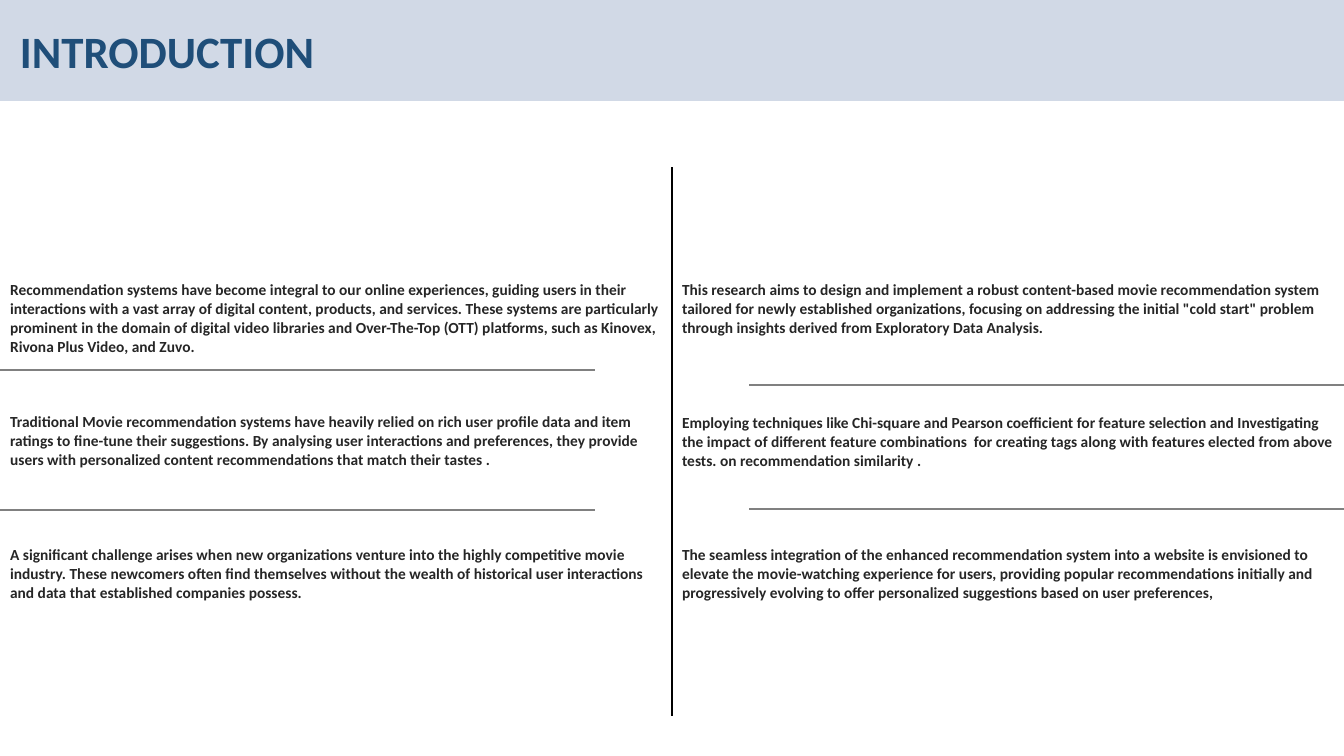
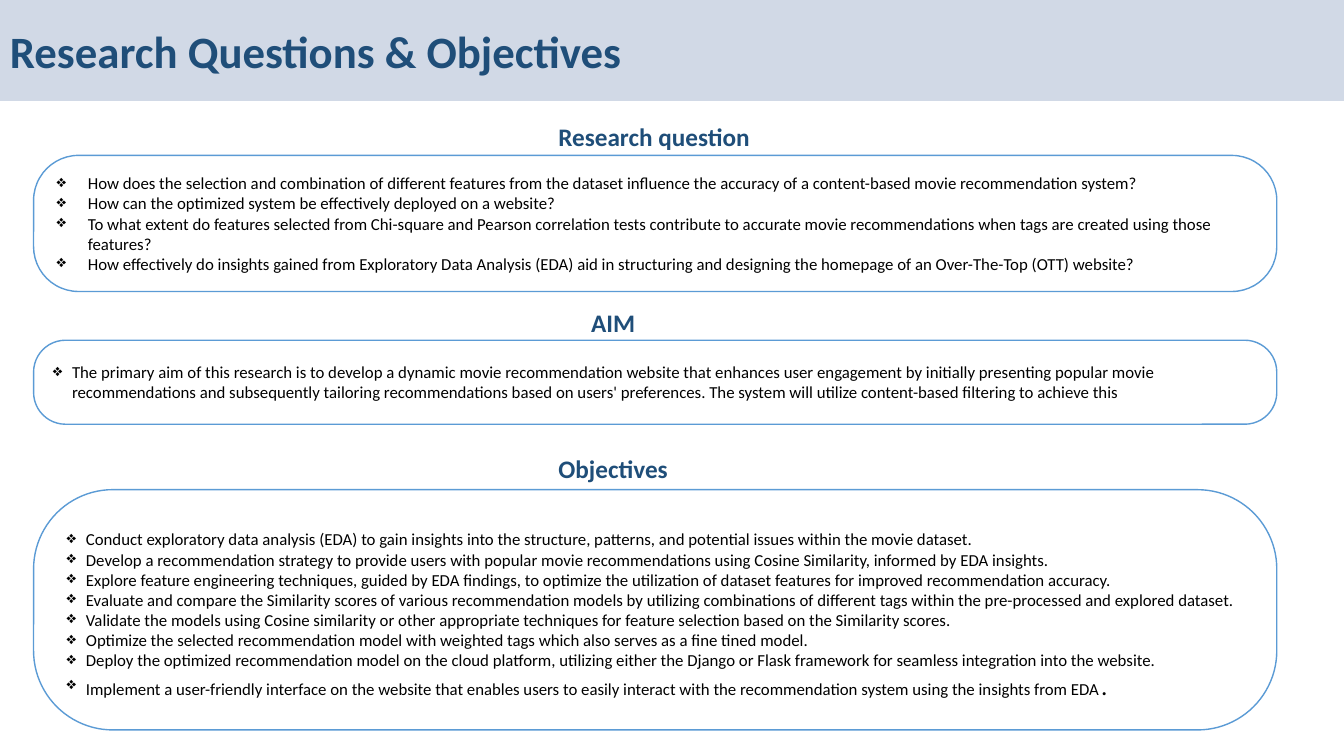
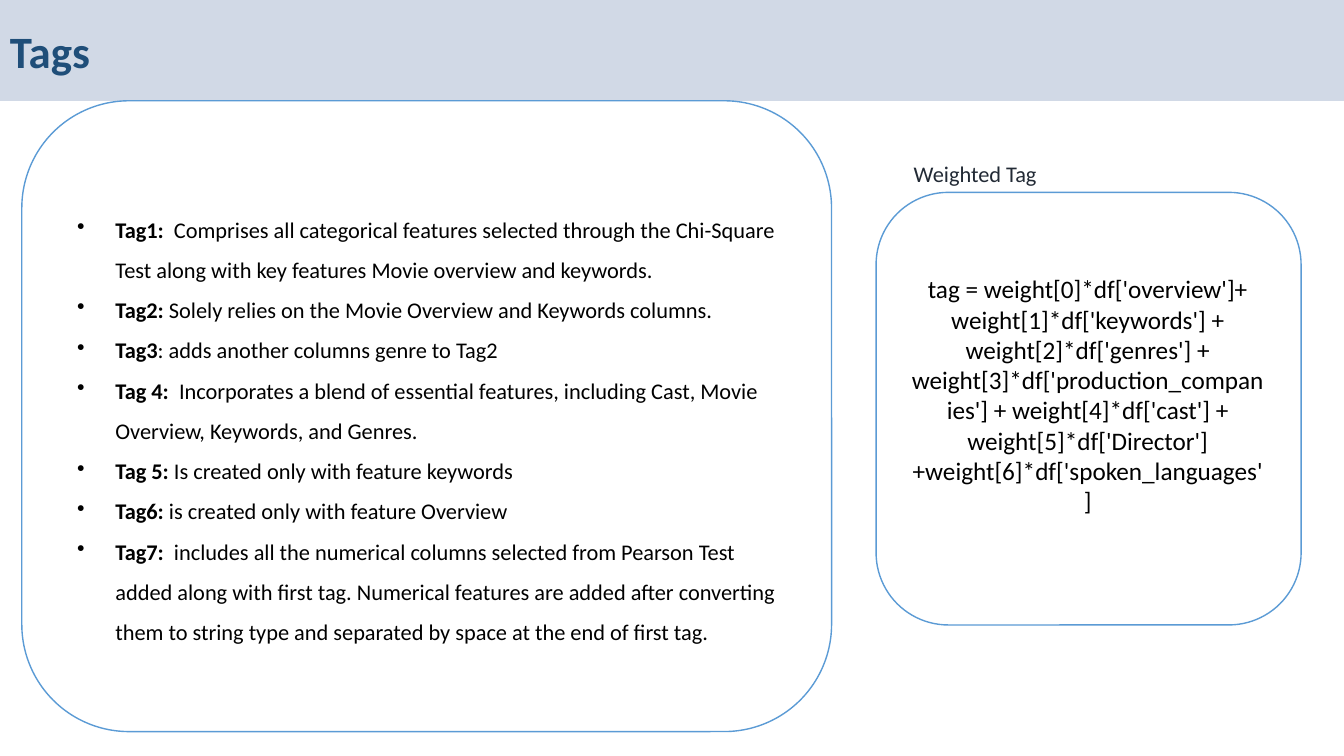
from lxml import etree
from pptx import Presentation
from pptx.dml.color import RGBColor
from pptx.enum.shapes import MSO_CONNECTOR, MSO_SHAPE
from pptx.enum.text import MSO_ANCHOR, MSO_AUTO_SIZE, PP_ALIGN
from pptx.oxml.ns import qn
from pptx.util import Inches, Pt

ROUNDED = MSO_SHAPE.ROUNDED_RECTANGLE
STRAIGHT = MSO_CONNECTOR.STRAIGHT
TOP, MIDDLE = MSO_ANCHOR.TOP, MSO_ANCHOR.MIDDLE
LEFT, CENTER = PP_ALIGN.LEFT, PP_ALIGN.CENTER
FIT_TEXT = MSO_AUTO_SIZE.SHAPE_TO_FIT_TEXT

FONT = "Calibri"
COLUMNS, ROWS = 80, 45
COLORS = {
    "band": "D1D9E6", "heading": "1F4E79", "body": "262626", "text": "000000",
    "panel": "FFFFFF", "outline": "5B9BD5", "rule": "808080", "label": "222A35",
}

INTRODUCTION = [
    [
        "Recommendation systems have become integral to our online experiences, guiding users in their interactions with a vast array of digital content, products, and services. These systems are particularly prominent in the domain of digital video libraries and Over-The-Top (OTT) platforms, such as Kinovex, Rivona Plus Video, and Zuvo.",
        "Traditional Movie recommendation systems have heavily relied on rich user profile data and item ratings to fine-tune their suggestions. By analysing user interactions and preferences, they provide users with personalized content recommendations that match their tastes .",
        "A significant challenge arises when new organizations venture into the highly competitive movie industry. These newcomers often find themselves without the wealth of historical user interactions and data that established companies possess.",
    ],
    [
        "This research aims to design and implement a robust content-based movie recommendation system tailored for newly established organizations, focusing on addressing the initial \"cold start\" problem through insights derived from Exploratory Data Analysis.",
        "Employing techniques like Chi-square and Pearson coefficient for feature selection and Investigating the impact of different feature combinations  for creating tags along with features elected from above tests. on recommendation similarity .",
        "The seamless integration of the enhanced recommendation system into a website is envisioned to elevate the movie-watching experience for users, providing popular recommendations initially and progressively evolving to offer personalized suggestions based on user preferences,",
    ],
]
INTRODUCTION_GAPS = [(40, 54), (54, 54)]
QUESTIONS = [
    "How does the selection and combination of different features from the dataset influence the accuracy of a content-based movie recommendation system?",
    "How can the optimized system be effectively deployed on a website?",
    "To what extent do features selected from Chi-square and Pearson correlation tests contribute to accurate movie recommendations when tags are created using those features?",
    "How effectively do insights gained from Exploratory Data Analysis (EDA) aid in structuring and designing the homepage of an Over-The-Top (OTT) website?",
]
AIM = [
    "The primary aim of this research is to develop a dynamic movie recommendation website that enhances user engagement by initially presenting popular movie recommendations and subsequently tailoring recommendations based on users' preferences. The system will utilize content-based filtering to achieve this",
]
OBJECTIVES = [
    "Conduct exploratory data analysis (EDA) to gain insights into the structure, patterns, and potential issues within the movie dataset.",
    "Develop a recommendation strategy to provide users with popular movie recommendations using Cosine Similarity, informed by EDA insights.",
    "Explore feature engineering techniques, guided by EDA findings, to optimize the utilization of dataset features for improved recommendation accuracy.",
    "Evaluate and compare the Similarity scores of various recommendation models by utilizing combinations of different tags within the pre-processed and explored dataset.",
    "Validate the models using Cosine similarity or other appropriate techniques for feature selection based on the Similarity scores.",
    "Optimize the selected recommendation model with weighted tags which also serves as a fine tined model.",
    "Deploy the optimized recommendation model on the cloud platform, utilizing either the Django or Flask framework for seamless integration into the website.",
    ("Implement a user-friendly interface on the website that enables users to easily interact with the recommendation system using the insights from EDA", "."),
]
TAGS = [
    ("Tag1:", "  Comprises all categorical features selected through the Chi-Square Test along with key features Movie overview and keywords."),
    ("Tag2:", " Solely relies on the Movie Overview and Keywords columns."),
    ("Tag3", ": adds another columns genre to Tag2"),
    ("Tag 4:", "  Incorporates a blend of essential features, including Cast, Movie Overview, Keywords, and Genres."),
    ("Tag 5:", " Is created only with feature keywords"),
    ("Tag6:", " is created only with feature Overview"),
    ("Tag7:", "  includes all the numerical columns selected from Pearson Test added along with first tag. Numerical features are added after converting them to string type and separated by space at the end of first tag."),
]
WEIGHTED_TAG = [
    "tag = weight[0]*df['overview']+ weight[1]*df['keywords'] + weight[2]*df['genres'] + weight[3]*df['production_companies'] + weight[4]*df['cast'] + weight[5]*df['Director'] +weight[6]*df['spoken_languages']",
]


def rgb(name):
    return RGBColor.from_string(COLORS[name])


class Deck:
    """Holds the shared style and the slide being filled."""

    def __init__(self):
        self.presentation = Presentation()
        self.presentation.slide_width = Inches(13.33)
        self.presentation.slide_height = Inches(7.5)
        self.slide = None

    def grid(self, *lengths):
        steps = (self.presentation.slide_width / COLUMNS,
                 self.presentation.slide_height / ROWS)
        return [round(length * steps[i % 2]) for i, length in enumerate(lengths)]

    def start(self, title, indent=0):
        self.slide = self.presentation.slides.add_slide(
            self.presentation.slide_layouts[6])
        band = self.panel((0, 0, COLUMNS, 6), 0, "band", None)
        heading = self.fill_text(band.text_frame, [title], 32, "heading", bold=True)[0]
        self.indent(heading, indent)

    def indent(self, paragraph, left, bullet=None):
        properties = paragraph._p.get_or_add_pPr()
        properties.set("marL", str(Inches(left)))
        if bullet:
            properties.set("indent", str(-Inches(left)))
            etree.SubElement(properties, qn("a:buChar")).set("char", bullet)

    def fill_text(self, frame, texts, size, color, bold=False, align=LEFT, spacing=None):
        frame.word_wrap = True
        paragraphs = []
        for i, parts in enumerate(texts):
            paragraph = frame.add_paragraph() if i else frame.paragraphs[0]
            paragraph.alignment = align
            paragraph.line_spacing = spacing
            for part in [parts] if isinstance(parts, str) else parts:
                run = paragraph.add_run()
                run.text = part
                run.font.name, run.font.size = FONT, Pt(size)
                run.font.bold = bold
                run.font.color.rgb = rgb(color)
            paragraphs.append(paragraph)
        return paragraphs

    def bullets(self, frame, texts, size, left, bullet="❖", spacing=None):
        paragraphs = self.fill_text(frame, texts, size, "text", spacing=spacing)
        for paragraph in paragraphs:
            self.indent(paragraph, left, bullet)
        return paragraphs

    def panel(self, area, radius=0.17, fill="panel", outline="outline"):
        shape = self.slide.shapes.add_shape(ROUNDED, *self.grid(*area))
        shape.adjustments[0] = radius
        shape.shadow.inherit = False
        shape.fill.solid()
        shape.fill.fore_color.rgb = rgb(fill)
        if outline:
            shape.line.color.rgb = rgb(outline)
            shape.line.width = Pt(1)
        else:
            shape.line.fill.background()
        shape.text_frame.vertical_anchor = MIDDLE
        return shape

    def text_box(self, area, anchor=TOP):
        frame = self.slide.shapes.add_textbox(*self.grid(*area)).text_frame
        frame.vertical_anchor = anchor
        return frame

    def label(self, text, area, size=18, color="heading", bold=True):
        frame = self.text_box(area)
        self.fill_text(frame, [text], size, color, bold)
        frame.word_wrap = False
        frame.auto_size = FIT_TEXT

    def rule(self, left, right, row):
        line = self.slide.shapes.add_connector(
            STRAIGHT, *self.grid(left, row, right, row))
        line.line.color.rgb = rgb("rule")
        line.line.width = Pt(1.5)
        etree.SubElement(line._element.spPr, qn("a:effectLst"))

    def split_table(self, area, columns, gaps):
        table = self.slide.shapes.add_table(1, len(columns), *self.grid(*area)).table
        table.first_row = table.horz_banding = False
        for i, (texts, spaces, side) in enumerate(zip(columns, gaps, ("a:lnR", "a:lnL"))):
            cell = table.cell(0, i)
            cell.fill.background()
            cell.vertical_anchor = MIDDLE
            paragraphs = self.fill_text(cell.text_frame, texts, 11, "body", bold=True)
            for paragraph, space in zip(paragraphs[1:], spaces):
                paragraph.space_before = Pt(space)
            border = etree.Element(qn(side), w=str(Pt(1)))
            fill = etree.SubElement(border, qn("a:solidFill"))
            etree.SubElement(fill, qn("a:srgbClr"), val=COLORS["text"])
            cell._tc.get_or_add_tcPr().insert(0, border)


def introduction(deck):
    deck.start("INTRODUCTION", indent=0.1)
    deck.split_table((0, 10, COLUMNS, 32.6), INTRODUCTION, INTRODUCTION_GAPS)
    for left, right, rows in ((0, 35.4, (22, 30.35)), (44.6, COLUMNS, (22.9, 30.3))):
        for row in rows:
            deck.rule(left, right, row)


def research(deck):
    deck.start("Research Questions & Objectives")
    sections = [
        ("Research question", (32.65, 6.9, 12.65, 2.4), 9.25, 8.1, 0.33, QUESTIONS, 0.31),
        ("AIM", (34.6, 18, 3.85, 2.4), 20.25, 5, 0.38, AIM, 0.19),
        ("Objectives", (32.65, 26.7, 7.8, 2.4), 29.15, 14.3, 0.33, OBJECTIVES, 0.19),
    ]
    for heading, heading_area, top, height, radius, texts, left in sections:
        frame = deck.panel((2, top, 74, height), radius).text_frame
        points = deck.bullets(frame, texts, 12, left)
        deck.label(heading, heading_area)
    frame.margin_top = Inches(0.15)
    points[-1].runs[-1].font.size = Pt(18)


def tags(deck):
    deck.start("Tags")
    deck.panel((52.15, 11.45, 25.3, 25.75))
    deck.panel((1.3, 6, 48.2, 37.55))
    definitions = deck.text_box((4, 11.6, 42.9, 27.25), MIDDLE)
    for paragraph in deck.bullets(definitions, TAGS, 16, 0.38, "•", 1.5):
        paragraph.runs[0].font.bold = True
    formula = deck.text_box((53.6, 16, 22.3, 15))
    deck.fill_text(formula, WEIGHTED_TAG, 18, "text", align=CENTER)
    deck.label("Weighted Tag", (53.8, 9.25, 8.6, 2.2), 16, "label", False)


def main():
    deck = Deck()
    for build in (introduction, research, tags):
        build(deck)
    deck.presentation.save("out.pptx")


if __name__ == "__main__":
    main()
